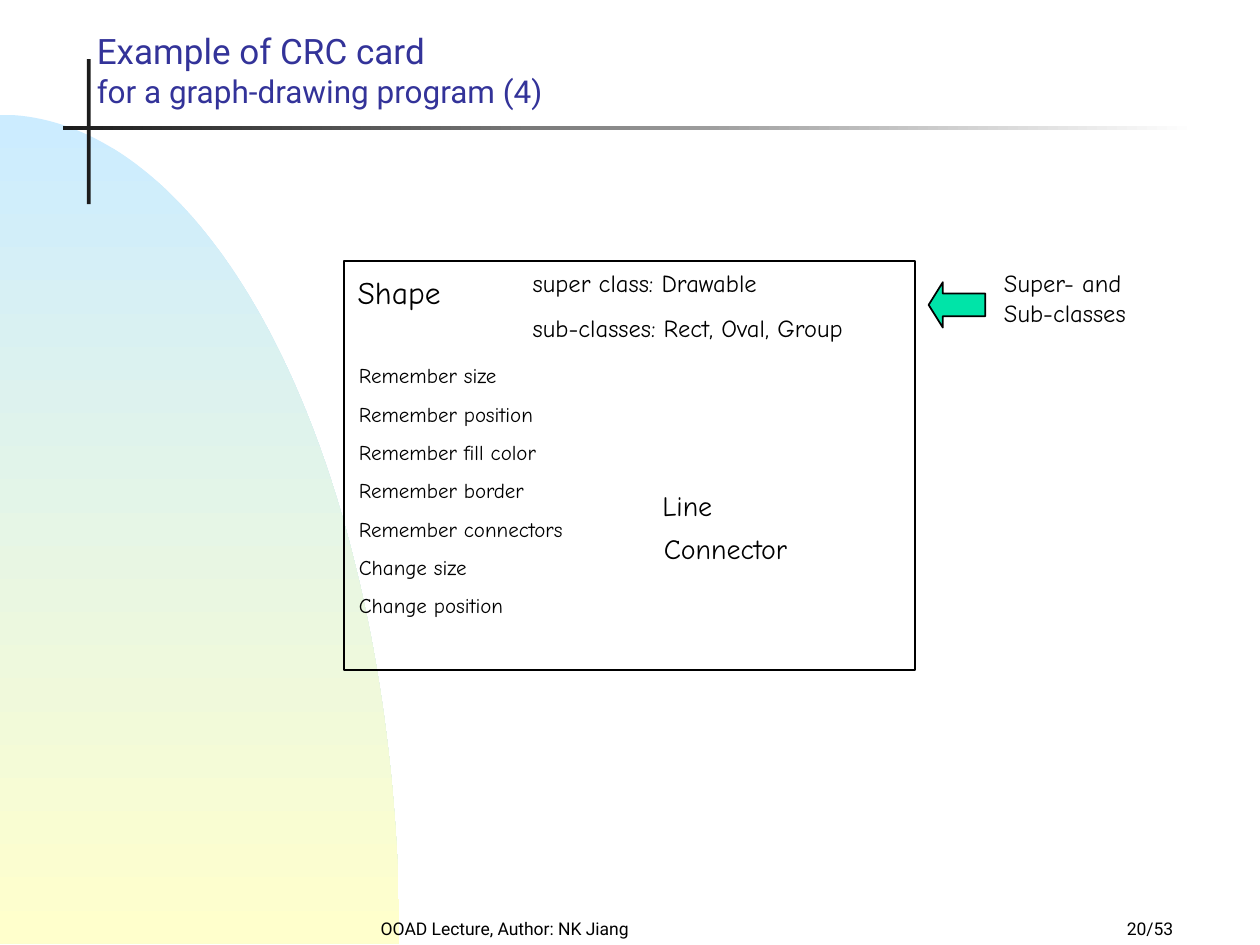
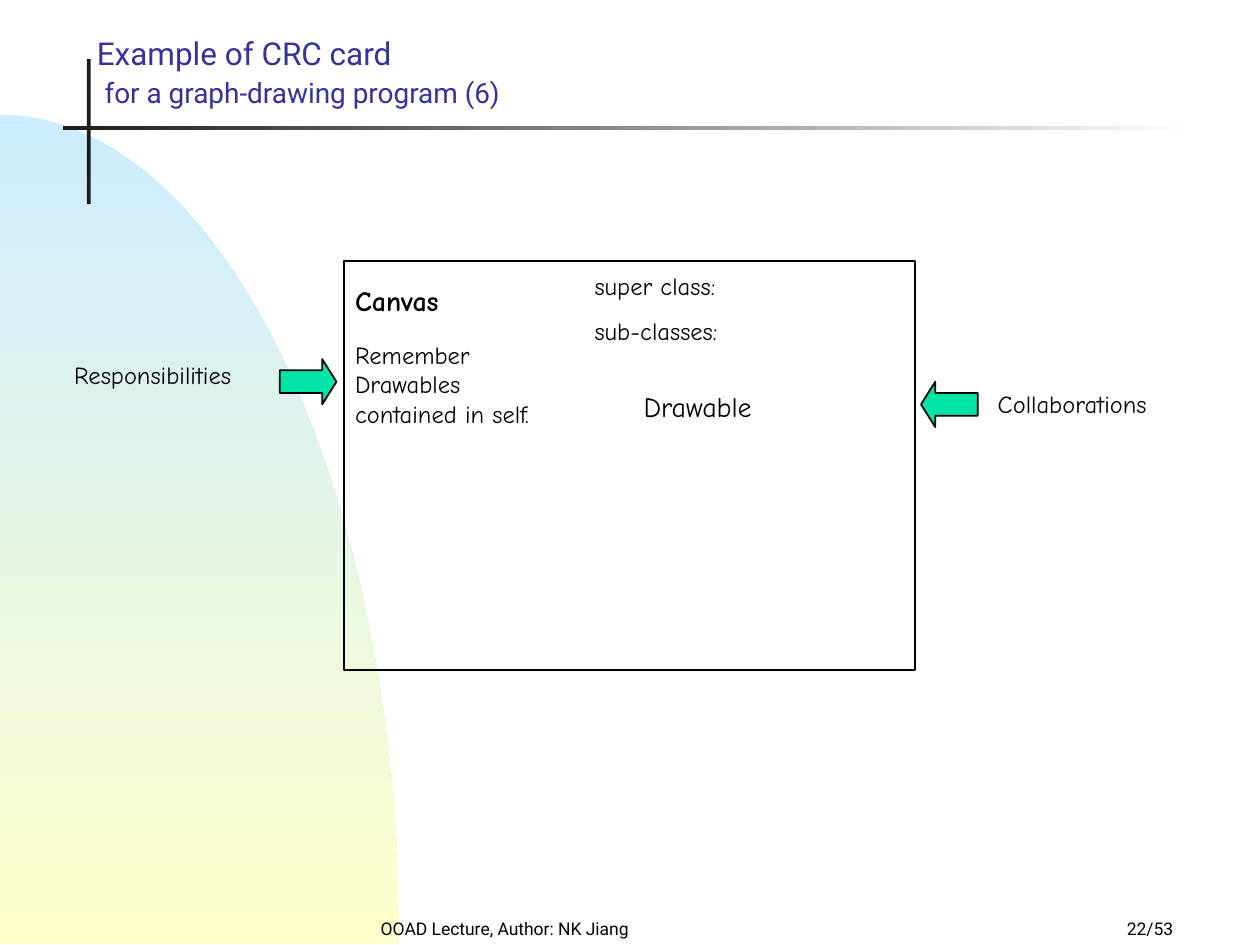
"""Build two CRC card slides for a graph-drawing program."""
from dataclasses import dataclass
from math import cos, pi, sin

from pptx import Presentation
from pptx.dml.color import RGBColor
from pptx.enum.shapes import MSO_SHAPE
from pptx.enum.text import MSO_ANCHOR, MSO_AUTO_SIZE, PP_ALIGN
from pptx.util import Inches, Pt

RECT = MSO_SHAPE.RECTANGLE
ARROWS = {"left": MSO_SHAPE.LEFT_ARROW, "right": MSO_SHAPE.RIGHT_ARROW}
LEFT, CENTER, RIGHT = PP_ALIGN.LEFT, PP_ALIGN.CENTER, PP_ALIGN.RIGHT
TOP, BOTTOM = MSO_ANCHOR.TOP, MSO_ANCHOR.BOTTOM
GROW, FIXED = MSO_AUTO_SIZE.SHAPE_TO_FIT_TEXT, MSO_AUTO_SIZE.NONE


@dataclass(frozen=True)
class Theme:
    ink: str = "000000"
    title: str = "333399"
    bar: str = "1C1C1C"
    paper: str = "FFFFFF"
    sky: str = "CCECFF"
    sand: str = "FFFFCC"
    arrow: str = "00E4A8"
    sans: str = "Roboto"
    hand: str = "Comic Neue"
    footer_size: int = 10
    list_size: int = 12
    note_size: int = 14
    name_size: int = 16
    class_size: int = 18
    space_ratio: float = 0.625


T = Theme()
FOOTER = "OOAD Lecture, Author: NK Jiang"
TOTAL = 53
CARD = (2.73, 2.07, 4.53, 3.25)
ARROW_SIZE = (0.45, 0.36)

SLIDES = [
    {
        "number": 20,
        "title": [[("Example of CRC card", 20)],
                  [("for a graph-drawing program (4)", 18)]],
        "texts": [
            {"box": (2.74, 2.12, 0.86, 0.4), "lines": ["Shape"],
             "size": T.class_size, "wrap": False},
            {"box": (4.13, 2.08, 2.67, 0.69), "size": T.note_size, "wrap": False,
             "lines": ["super class: Drawable", "sub-classes: Rect, Oval, Group"]},
            {"box": (7.87, 2.08, 1.2, 0.57), "size": T.note_size, "wrap": False,
             "lines": ["Super- and", "Sub-classes"], "spaced": False},
            {"box": (5.16, 3.83, 2, 0.37), "lines": ["Line"], "size": T.name_size},
            {"box": (5.17, 4.17, 2, 0.37), "lines": ["Connector"], "size": T.name_size},
            {"box": (2.75, 2.83, 2.24, 2.13), "size": T.list_size,
             "lines": ["Remember size", "Remember position", "Remember fill color",
                       "Remember border", "Remember connectors", "Change size",
                       "Change position"]},
        ],
        "arrows": [("left", 7.37, 2.24)],
    },
    {
        "number": 22,
        "title": [[("Example of CRC card", 18)],
                  [(" ", 18), ("for a graph-drawing program (6)", 16)]],
        "texts": [
            {"box": (2.72, 2.65, 1.9, 0.8), "size": T.note_size,
             "lines": ["Remember Drawables contained in self."]},
            {"box": (2.72, 2.2, 1.2, 0.37), "lines": ["Canvas"],
             "size": T.name_size, "bold": True},
            {"box": (4.62, 2.1, 1.22, 0.69), "size": T.note_size, "wrap": False,
             "lines": ["super class:", "sub-classes:"]},
            {"box": (5.01, 3.04, 2, 0.37), "lines": ["Drawable"], "size": T.name_size},
            {"box": (0.49, 2.81, 1.45, 0.34), "lines": ["Responsibilities"],
             "size": T.note_size, "wrap": False, "spaced": False},
            {"box": (7.82, 3.04, 1.38, 0.34), "lines": ["Collaborations"],
             "size": T.note_size, "wrap": False, "spaced": False},
        ],
        "arrows": [("right", 2.22, 2.85), ("left", 7.31, 3.03)],
    },
]


def rgb(color):
    return RGBColor.from_string(color)


def inches(box):
    return [Inches(v) for v in box]


def paint(sp, fill=None, line=None, angle=0):
    sp.shadow.inherit = False
    if fill is None:
        sp.fill.background()
    elif isinstance(fill, tuple):
        sp.fill.gradient()
        sp.fill.gradient_angle = angle
        for stop, color in zip(sp.fill.gradient_stops, fill):
            stop.color.rgb = rgb(color)
    else:
        sp.fill.solid()
        sp.fill.fore_color.rgb = rgb(fill)
    if line:
        sp.line.color.rgb = rgb(line)
        sp.line.width = Pt(1)
    else:
        sp.line.fill.background()


def add_shape(s, kind, box, fill=None, line=None):
    sp = s.shapes.add_shape(kind, *inches(box))
    paint(sp, fill, line)
    return sp


def add_frame(s, box, wrap=True, anchor=TOP, auto=FIXED):
    tf = s.shapes.add_textbox(*inches(box)).text_frame
    tf.word_wrap, tf.vertical_anchor, tf.auto_size = wrap, anchor, auto
    return tf


def style(font, size, name, color=T.ink, bold=False):
    font.size, font.name, font.bold = Pt(size), name, bold
    font.color.rgb = rgb(color)


def add_text(s, box, lines, size, wrap=True, spaced=True, bold=False):
    tf = add_frame(s, box, wrap, auto=GROW)
    for i, line in enumerate(lines):
        p = tf.add_paragraph() if i else tf.paragraphs[0]
        p.text = line
        p.space_before = Pt(size * T.space_ratio if spaced else 0)
        style(p.font, size, T.hand, bold=bold)


def add_footer(s, box, text, align):
    p = add_frame(s, box, anchor=BOTTOM).paragraphs[0]
    p.text, p.alignment = text, align
    style(p.font, T.footer_size, T.sans)


def add_title(s, lines):
    p = add_frame(s, (0.67, 0.17, 7.08, 0.75), anchor=BOTTOM).paragraphs[0]
    p.alignment = LEFT
    for i, runs in enumerate(lines):
        if i:
            p.add_line_break()
        for text, size in runs:
            r = p.add_run()
            r.text = text
            style(r.font, size, T.sans, T.title)


def add_hill(s, rx=3.17, ry=6.58, base=7.49, steps=90):
    angles = [pi / 2 * i / steps for i in range(steps + 1)]
    arc = [inches((rx * sin(a), base - ry * cos(a))) for a in angles]
    fb = s.shapes.build_freeform(*arc[0])
    fb.add_line_segments(arc[1:] + [inches((0, base))], close=True)
    paint(fb.convert_to_shape(), (T.sky, T.sand), angle=270)


def add_base(s, number):
    add_hill(s)
    add_shape(s, RECT, (0.69, 0.47, 0.03, 1.15), T.bar)
    add_shape(s, RECT, (0.5, 1, 9, 0.03), (T.bar, T.paper))
    add_footer(s, (2.42, 7.17, 3.17, 0.33), FOOTER, CENTER)
    add_footer(s, (7.33, 7.17, 2.08, 0.33), f"{number}/{TOTAL}", RIGHT)


def main():
    prs = Presentation()
    prs.slide_width, prs.slide_height = Inches(10), Inches(7.5)
    for data in SLIDES:
        s = prs.slides.add_slide(prs.slide_layouts[6])
        add_base(s, data["number"])
        add_title(s, data["title"])
        add_shape(s, RECT, CARD, line=T.ink)
        for text in data["texts"]:
            add_text(s, **text)
        for side, x, y in data["arrows"]:
            sp = add_shape(s, ARROWS[side], (x, y, *ARROW_SIZE), T.arrow, T.ink)
            sp.adjustments[1] = 0.314
    prs.save("out.pptx")


if __name__ == "__main__":
    main()
